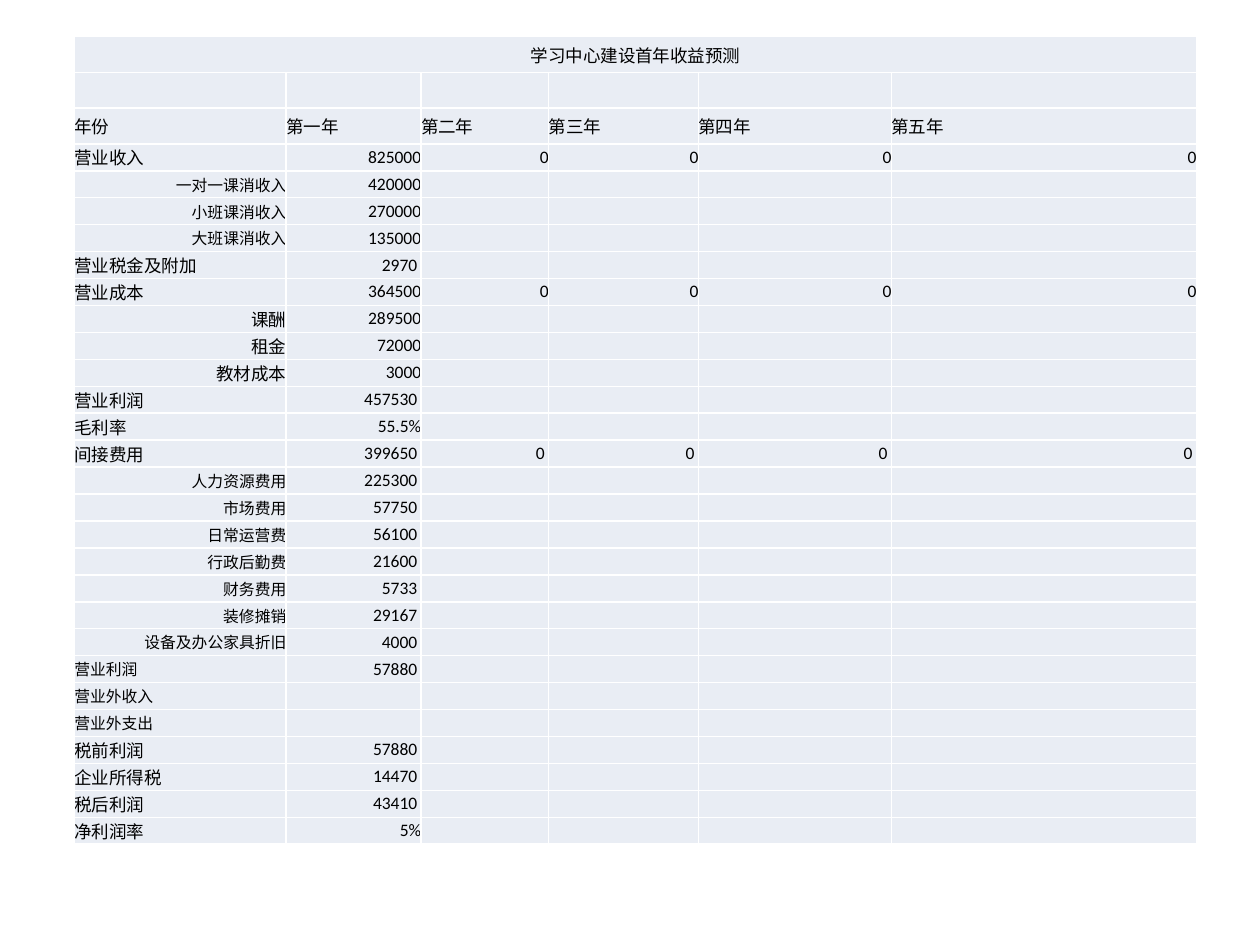
from pptx import Presentation
from pptx.dml.color import RGBColor
from pptx.enum.text import MSO_ANCHOR, PP_ALIGN
from pptx.oxml.ns import qn
from pptx.util import Cm, Pt
from lxml import etree

LEFT, MID, RIGHT = PP_ALIGN.LEFT, PP_ALIGN.CENTER, PP_ALIGN.RIGHT
CENTER = MSO_ANCHOR.MIDDLE

COLS = [4.27, 2.72, 2.57, 3.02, 3.89, 6.15]
HEAD, HIGH = 0.72, 16.3
TITLE = "学习中心建设首年收益预测"
YEARS = ["年份", "第一年", "第二年", "第三年", "第四年", "第五年"]

# label, label alignment, label size, values by year
ITEMS = [
    ("营业收入", LEFT, 10, ["825000"] + ["0"] * 4),
    ("一对一课消收入", RIGHT, 9, ["420000"]),
    ("小班课消收入", RIGHT, 9, ["270000"]),
    ("大班课消收入", RIGHT, 9, ["135000"]),
    ("营业税金及附加", LEFT, 10, ["2970 "]),
    ("营业成本", LEFT, 10, ["364500"] + ["0"] * 4),
    ("课酬", RIGHT, 10, ["289500"]),
    ("租金", RIGHT, 10, ["72000"]),
    ("教材成本", RIGHT, 10, ["3000"]),
    ("营业利润", LEFT, 10, ["457530 "]),
    ("毛利率", LEFT, 10, ["55.5%"]),
    ("间接费用", LEFT, 10, ["399650 "] + ["0 "] * 4),
    ("人力资源费用", RIGHT, 9, ["225300 "]),
    ("市场费用", RIGHT, 9, ["57750 "]),
    ("日常运营费", RIGHT, 9, ["56100 "]),
    ("行政后勤费", RIGHT, 9, ["21600 "]),
    ("财务费用", RIGHT, 9, ["5733 "]),
    ("装修摊销", RIGHT, 9, ["29167 "]),
    ("设备及办公家具折旧", RIGHT, 9, ["4000 "]),
    ("营业利润", LEFT, 9, ["57880 "]),
    ("营业外收入", LEFT, 9, []),
    ("营业外支出", LEFT, 9, []),
    ("税前利润", LEFT, 10, ["57880 "]),
    ("企业所得税", LEFT, 10, ["14470 "]),
    ("税后利润", LEFT, 10, ["43410 "]),
    ("净利润率", LEFT, 10, ["5%"]),
]


def tint(code):
    return RGBColor.from_string(code)


class Deck:
    font, ink, fill, rule = "Calibri", "000000", "E9EDF4", "FFFFFF"
    frame = dict(margin_left=0, margin_right=0, margin_top=0,
                 margin_bottom=0, vertical_anchor=CENTER)

    def __init__(self, wide, high):
        self.show = Presentation()
        self.show.slide_width, self.show.slide_height = Cm(wide), Cm(high)
        self.slide = self.show.slides.add_slide(self.show.slide_layouts[6])

    def table(self, left, top, cols, rows):
        """Add a table with plain cells, sized by its column and row lengths."""
        grid = self.slide.shapes.add_table(
            len(rows), len(cols), Cm(left), Cm(top),
            Cm(sum(cols)), Cm(sum(rows))).table
        grid.first_row = grid.horz_banding = False
        for col, wide in zip(grid.columns, cols):
            col.width = Cm(wide)
        for row, high in zip(grid.rows, rows):
            row.height = Cm(high)
        for cell in grid.iter_cells():
            self.plain(cell)
        return grid

    def plain(self, cell):
        """Give a cell its margins, borders, fill and small empty line."""
        for name, value in self.frame.items():
            setattr(cell, name, value)
        props = cell._tc.get_or_add_tcPr()
        for side in ("a:lnL", "a:lnR", "a:lnT", "a:lnB"):
            line = etree.SubElement(props, qn(side), w=str(Pt(1)))
            paint = etree.SubElement(line, qn("a:solidFill"))
            etree.SubElement(paint, qn("a:srgbClr"), val=self.rule)
        cell.fill.solid()
        cell.fill.fore_color.rgb = tint(self.fill)
        para = cell.text_frame.paragraphs[0]
        etree.SubElement(para._p, qn("a:endParaRPr"), sz="1000")

    def label(self, cell, text, align, size=10):
        para = cell.text_frame.paragraphs[0]
        para.alignment = align
        run = para.add_run()
        run.text = text
        style = dict(name=self.font, size=Pt(size))
        for name, value in style.items():
            setattr(run.font, name, value)
        run.font.color.rgb = tint(self.ink)


def main():
    deck = Deck(25.4, 19.05)
    body = (HIGH - 3 * HEAD) / len(ITEMS)
    grid = deck.table(1.5, 0.74, COLS, [HEAD] * 3 + [body] * len(ITEMS))

    grid.cell(0, 0).merge(grid.cell(0, len(COLS) - 1))
    deck.label(grid.cell(0, 0), TITLE, MID)
    for col, year in enumerate(YEARS):
        deck.label(grid.cell(2, col), year, LEFT)
    for row, (name, align, size, values) in enumerate(ITEMS, 3):
        deck.label(grid.cell(row, 0), name, align, size)
        for col, value in enumerate(values, 1):
            deck.label(grid.cell(row, col), value, RIGHT)

    deck.show.save("out.pptx")


if __name__ == "__main__":
    main()
